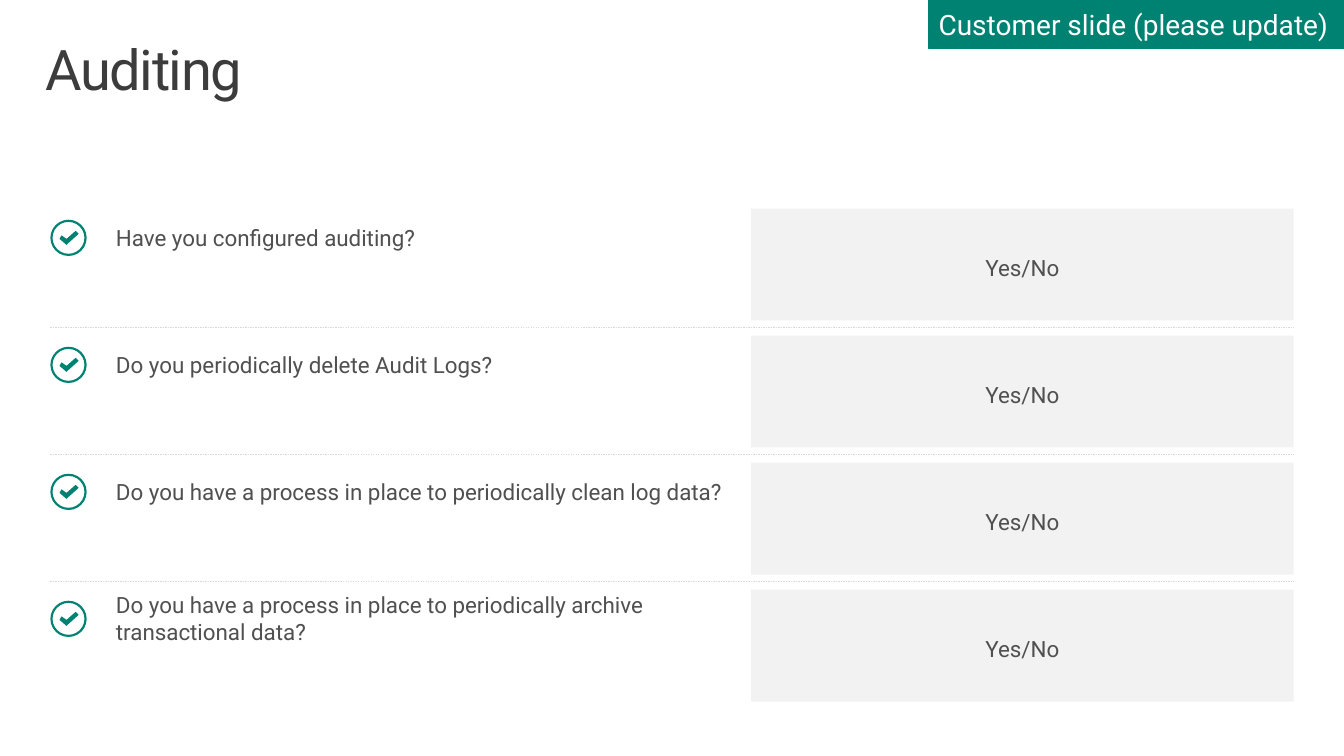
from lxml.etree import SubElement
from pptx import Presentation
from pptx.dml.color import RGBColor
from pptx.enum.dml import MSO_LINE
from pptx.enum.shapes import MSO_CONNECTOR, MSO_SHAPE
from pptx.enum.text import MSO_ANCHOR, PP_ALIGN
from pptx.oxml.ns import qn
from pptx.util import Inches, Pt

# Content
TITLE = "Auditing"
TAG = "Customer slide (please update)"
CHECKLIST = [
    ("Have you configured auditing?", "Yes/No"),
    ("Do you periodically delete Audit Logs?", "Yes/No"),
    ("Do you have a process in place to periodically clean log data?", "Yes/No"),
    ("Do you have a process in place to periodically archive transactional data?", "Yes/No"),
]

# Style
FONT = "Roboto"
TEAL = RGBColor(0x00, 0x82, 0x72)
CHARCOAL = RGBColor(0x3C, 0x3C, 0x3C)
GRAY = RGBColor(0x50, 0x50, 0x50)
PALE = RGBColor(0xF2, 0xF2, 0xF2)
RULE = RGBColor(0xD9, 0xD9, 0xD9)
WHITE = RGBColor(0xFF, 0xFF, 0xFF)

# Grid, in inches
WIDTH, HEIGHT = 13.33, 7.5
LEFT, RIGHT = 0.5, 12.83
FIRST_ROW, ROW_PITCH = 2.07, 1.26
ANSWER_LEFT, ANSWER_HEIGHT = 7.45, 1.11
RING, RING_DROP = 0.36, 0.11
TAG_LEFT, TAG_HEIGHT = 9.21, 0.48
# Check mark outline, measured from the ring's top left corner
CHECK = [(0.25, 0.11), (0.16, 0.19), (0.11, 0.155), (0.09, 0.19),
         (0.16, 0.25), (0.18, 0.23), (0.28, 0.14)]

deck = Presentation()
deck.slide_width, deck.slide_height = Inches(WIDTH), Inches(HEIGHT)
slide = deck.slides.add_slide(deck.slide_layouts[6])
shapes = slide.shapes


def write(holder, text, size, color, insets=(0.1, 0.05, 0.1, 0.05),
          align=PP_ALIGN.LEFT, anchor=MSO_ANCHOR.MIDDLE):
    frame = holder.text_frame
    frame.text = text
    frame.word_wrap = True
    frame.vertical_anchor = anchor
    (frame.margin_left, frame.margin_top,
     frame.margin_right, frame.margin_bottom) = map(Inches, insets)
    paragraph = frame.paragraphs[0]
    paragraph.alignment = align
    font = paragraph.runs[0].font
    font.name, font.size, font.color.rgb = FONT, Pt(size), color
    return paragraph


def paint(shape, color):
    shape.shadow.inherit = False
    shape.fill.solid()
    shape.fill.fore_color.rgb = color
    shape.line.fill.background()
    return shape


def add_box(kind, left, top, width, height, color):
    return paint(shapes.add_shape(kind, *map(Inches, (left, top, width, height))), color)


def add_text(left, top, width, height):
    return shapes.add_textbox(*map(Inches, (left, top, width, height)))


def add_check(left, top):
    ring = add_box(MSO_SHAPE.DONUT, left, top, RING, RING, TEAL)
    ring.adjustments[0] = 0.06
    points = [(Inches(left + x), Inches(top + y)) for x, y in CHECK]
    outline = shapes.build_freeform(*points[0])
    outline.add_line_segments(points[1:])
    paint(outline.convert_to_shape(), TEAL)


def add_divider(y):
    divider = shapes.add_connector(MSO_CONNECTOR.STRAIGHT,
                                   *map(Inches, (LEFT, y, RIGHT, y)))
    divider.line.color.rgb = RULE
    divider.line.width = Pt(0.25)
    divider.line.dash_style = MSO_LINE.DASH
    SubElement(divider._element.spPr, qn("a:effectLst"))


# Title
heading = write(add_text(0.29, 0.32, 12.75, 0.98), TITLE, 40, CHARCOAL,
                (0.16, 0.1, 0.16, 0.1), anchor=MSO_ANCHOR.TOP)
heading.line_spacing = 0.9
heading.runs[0].font._element.set("spc", "-100")

# Checklist rows
for row, (question, answer) in enumerate(CHECKLIST):
    top = FIRST_ROW + row * ROW_PITCH
    if row:
        add_divider(top - 0.08)
    write(add_text(0.55, top, 6.75, 0.57), question, 16, GRAY, (0.6, 0.05, 0.1, 0.05))
    add_check(LEFT, top + RING_DROP)
    answer_box = add_box(MSO_SHAPE.RECTANGLE, ANSWER_LEFT, top,
                         RIGHT - ANSWER_LEFT, ANSWER_HEIGHT, PALE)
    write(answer_box, answer, 16, GRAY, (0.1, 0.1, 0.1, 0.05), PP_ALIGN.CENTER)

# Corner tag
tag = add_box(MSO_SHAPE.RECTANGLE, TAG_LEFT, 0, WIDTH - TAG_LEFT, TAG_HEIGHT, TEAL)
tag.line.color.rgb = TEAL
tag.line.width = Pt(0.25)
write(tag, TAG, 20, WHITE)

deck.save("out.pptx")
